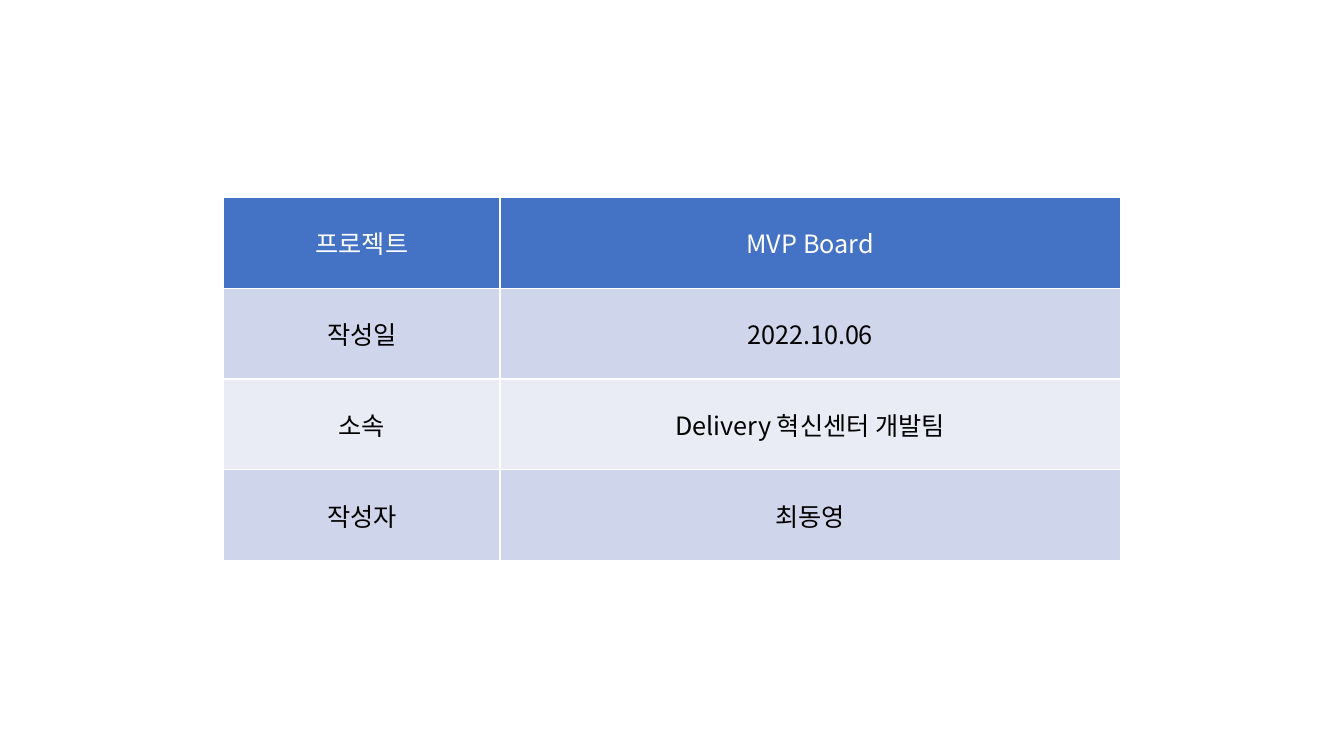
"""Build a project cover slide with a two-column information table."""
from pptx import Presentation
from pptx.dml.color import RGBColor as RGB
from pptx.enum.text import MSO_ANCHOR as Anchor, PP_ALIGN as Align
from pptx.oxml.xmlchemy import OxmlElement as Element
from pptx.util import Inches, Pt

ROWS = [
    ("프로젝트", "MVP Board"),
    ("작성일", "2022.10.06"),
    ("소속", "Delivery 혁신센터 개발팀"),
    ("작성자", "최동영"),
]
THEME = {
    "font": "Noto Sans CJK KR",
    "size": Pt(18),
    "head": ("4472C4", "FFFFFF"),
    "bands": [("E9EBF5", "000000"), ("CFD5EA", "000000")],
}
LEFT, TOP = 2.22, 1.96
WIDTHS = [2.74, 6.15]
HEIGHT = 0.9


def style(cell, text, fill, ink):
    cell.text = text
    cell.vertical_anchor = Anchor.MIDDLE
    cell.fill.solid()
    cell.fill.fore_color.rgb = RGB.from_string(fill)
    para = cell.text_frame.paragraphs[0]
    para.alignment = Align.CENTER
    font = para.font
    font.name, font.size, font.bold = THEME["font"], THEME["size"], False
    font.color.rgb = RGB.from_string(ink)
    asian = Element("a:ea")
    asian.set("typeface", THEME["font"])
    para._p.pPr.defRPr.append(asian)


def main():
    deck = Presentation()
    deck.slide_width, deck.slide_height = Inches(13.33), Inches(7.5)
    slide = deck.slides.add_slide(deck.slide_layouts[6])
    table = slide.shapes.add_table(
        len(ROWS), len(WIDTHS), Inches(LEFT), Inches(TOP),
        Inches(sum(WIDTHS)), Inches(HEIGHT * len(ROWS))).table
    for col, width in zip(table.columns, WIDTHS):
        col.width = Inches(width)
    for i, (row, texts) in enumerate(zip(table.rows, ROWS)):
        row.height = Inches(HEIGHT)
        fill, ink = THEME["bands"][i % 2] if i else THEME["head"]
        for cell, text in zip(row.cells, texts):
            style(cell, text, fill, ink)
    deck.save("out.pptx")


if __name__ == "__main__":
    main()
